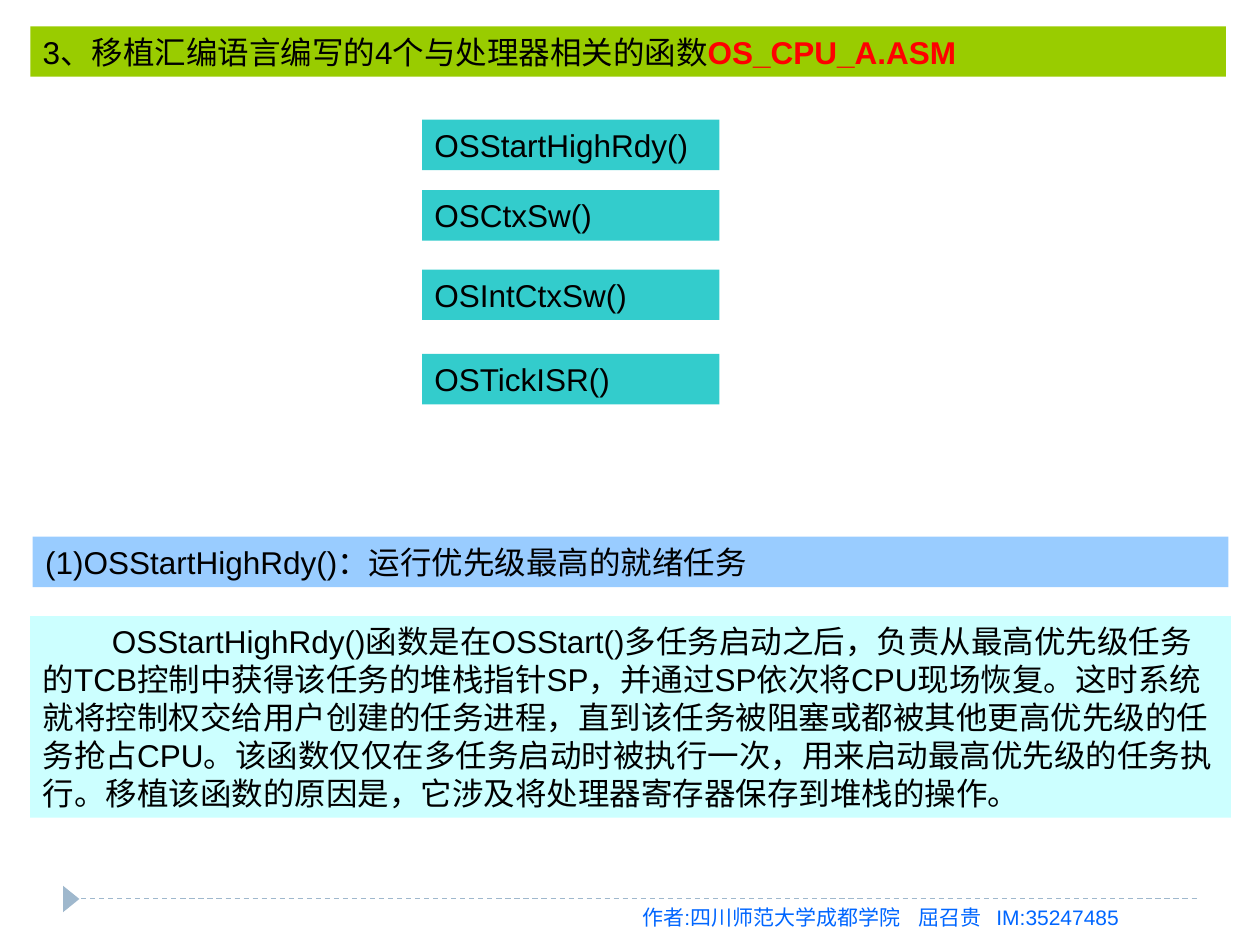
import dataclasses

import pptx
import pptx.dml.color
import pptx.enum.dml
import pptx.enum.shapes
import pptx.enum.text
import pptx.oxml.ns
import pptx.util
from lxml import etree

Inches = pptx.util.Inches
Pt = pptx.util.Pt
Shapes = pptx.enum.shapes.MSO_SHAPE


@dataclasses.dataclass(frozen=True)
class Theme:
    font: str = "Arial"
    body_size: float = 18
    footer_size: float = 12
    text: str = "000000"
    accent: str = "FF0000"
    footer_text: str = "0066FF"
    footer_mark: str = "9FB8CD"
    title_fill: str = "99CC00"
    function_fill: str = "33CCCC"
    heading_fill: str = "99CCFF"
    body_fill: str = "CCFFFF"


THEME = Theme()


def rgb(value):
    return pptx.dml.color.RGBColor.from_string(value)


def set_values(target, values):
    for name, value in values.items():
        setattr(target, name, value)


def add_shape(slide, kind, box, fill):
    shape = slide.shapes.add_shape(kind, *map(Inches, box))
    shape.shadow.inherit = False
    shape.fill.solid()
    shape.fill.fore_color.rgb = rgb(fill)
    shape.line.fill.background()
    return shape


def write_text(shape, runs, size=THEME.body_size, space_before=0.0):
    """Fill a shape with one paragraph of (text, colour, bold) runs."""
    frame = shape.text_frame
    set_values(frame, {
        "word_wrap": True,
        "auto_size": pptx.enum.text.MSO_AUTO_SIZE.SHAPE_TO_FIT_TEXT,
        "vertical_anchor": pptx.enum.text.MSO_ANCHOR.TOP,
    })
    paragraph = frame.paragraphs[0]
    set_values(paragraph, {
        "alignment": pptx.enum.text.PP_ALIGN.LEFT,
        "space_before": Pt(space_before),
    })
    for text, colour, bold in runs:
        run = paragraph.add_run()
        run.text = text
        set_values(run.font, {"name": THEME.font, "size": Pt(size), "bold": bold})
        run.font.color.rgb = rgb(colour)
    return paragraph


def add_panel(slide, box, fill, runs, space_before=11.2):
    panel = add_shape(slide, Shapes.RECTANGLE, box, fill)
    return write_text(panel, runs, space_before=space_before)


def add_footer(slide, box):
    left, top, width, height = box

    # Dashed rule
    rule = slide.shapes.add_connector(
        pptx.enum.shapes.MSO_CONNECTOR.STRAIGHT,
        Inches(left), Inches(top), Inches(left + width), Inches(top))
    set_values(rule.line, {
        "width": Pt(0.75),
        "dash_style": pptx.enum.dml.MSO_LINE_DASH_STYLE.DASH,
    })
    rule.line.color.rgb = rgb(THEME.footer_mark)
    etree.SubElement(rule.element.spPr, pptx.oxml.ns.qn("a:effectLst"))

    # Marker at the start of the rule
    marker = add_shape(slide, Shapes.ISOSCELES_TRIANGLE,
                       (left - 0.04, top - 0.06, 0.21, 0.13), THEME.footer_mark)
    marker.rotation = 90

    # Author credit, its parts set on tab stops
    credit = slide.shapes.add_textbox(
        Inches(left + 4.5), Inches(top), Inches(4.75), Inches(height))
    text = "作者:四川师范大学成都学院\t屈召贵\tIM:35247485"
    paragraph = write_text(credit, [(text, THEME.footer_text, False)],
                           size=THEME.footer_size, space_before=7.5)
    properties = paragraph._p.get_or_add_pPr()
    tabs = etree.SubElement(properties, pptx.oxml.ns.qn("a:tabLst"))
    for position in (2.19, 2.81):
        etree.SubElement(tabs, pptx.oxml.ns.qn("a:tab"),
                         pos=str(Inches(position)), algn="l")


def add_title(slide, box):
    add_panel(slide, box, THEME.title_fill, [
        ("3、移植汇编语言编写的4个与处理器相关的函数", THEME.text, False),
        ("OS_CPU_A.ASM", THEME.accent, True),
    ])


def add_functions(slide, box):
    left, top, width, height = box
    offsets = {
        "OSStartHighRdy()": 0,
        "OSCtxSw()": 0.56,
        "OSIntCtxSw()": 1.19,
        "OSTickISR()": 1.86,
    }
    for name, offset in offsets.items():
        add_panel(slide, (left, top + offset, width, height),
                  THEME.function_fill, [(name, THEME.text, False)], space_before=0)


def add_heading(slide, box):
    add_panel(slide, box, THEME.heading_fill, [
        ("(1)OSStartHighRdy()：运行优先级最高的就绪任务", THEME.text, False),
    ])


def add_description(slide, box):
    text = (
        "OSStartHighRdy()函数是在OSStart()多任务启动之后，负责从最高优先级任务"
        "的TCB控制中获得该任务的堆栈指针SP，并通过SP依次将CPU现场恢复。这时"
        "系统就将控制权交给用户创建的任务进程，直到该任务被阻塞或都被其他更高优先级"
        "的任务抢占CPU。该函数仅仅在多任务启动时被执行一次，用来启动最高优先级的"
        "任务执行。移植该函数的原因是，它涉及将处理器寄存器保存到堆栈的操作。"
    )
    paragraph = add_panel(slide, box, THEME.body_fill, [(text, THEME.text, False)])
    paragraph._p.get_or_add_pPr().set("indent", str(Inches(0.55)))


def main():
    presentation = pptx.Presentation()
    set_values(presentation, {"slide_width": Inches(10), "slide_height": Inches(7.5)})
    slide = presentation.slides.add_slide(presentation.slide_layouts[6])
    add_footer(slide, (0.5, 7.13, 9, 0.3))
    add_title(slide, (0.24, 0.21, 9.49, 0.4))
    add_heading(slide, (0.26, 4.26, 9.49, 0.4))
    add_functions(slide, (3.35, 0.95, 2.36, 0.4))
    add_description(slide, (0.24, 4.89, 9.53, 1.6))
    presentation.save("out.pptx")


if __name__ == "__main__":
    main()
